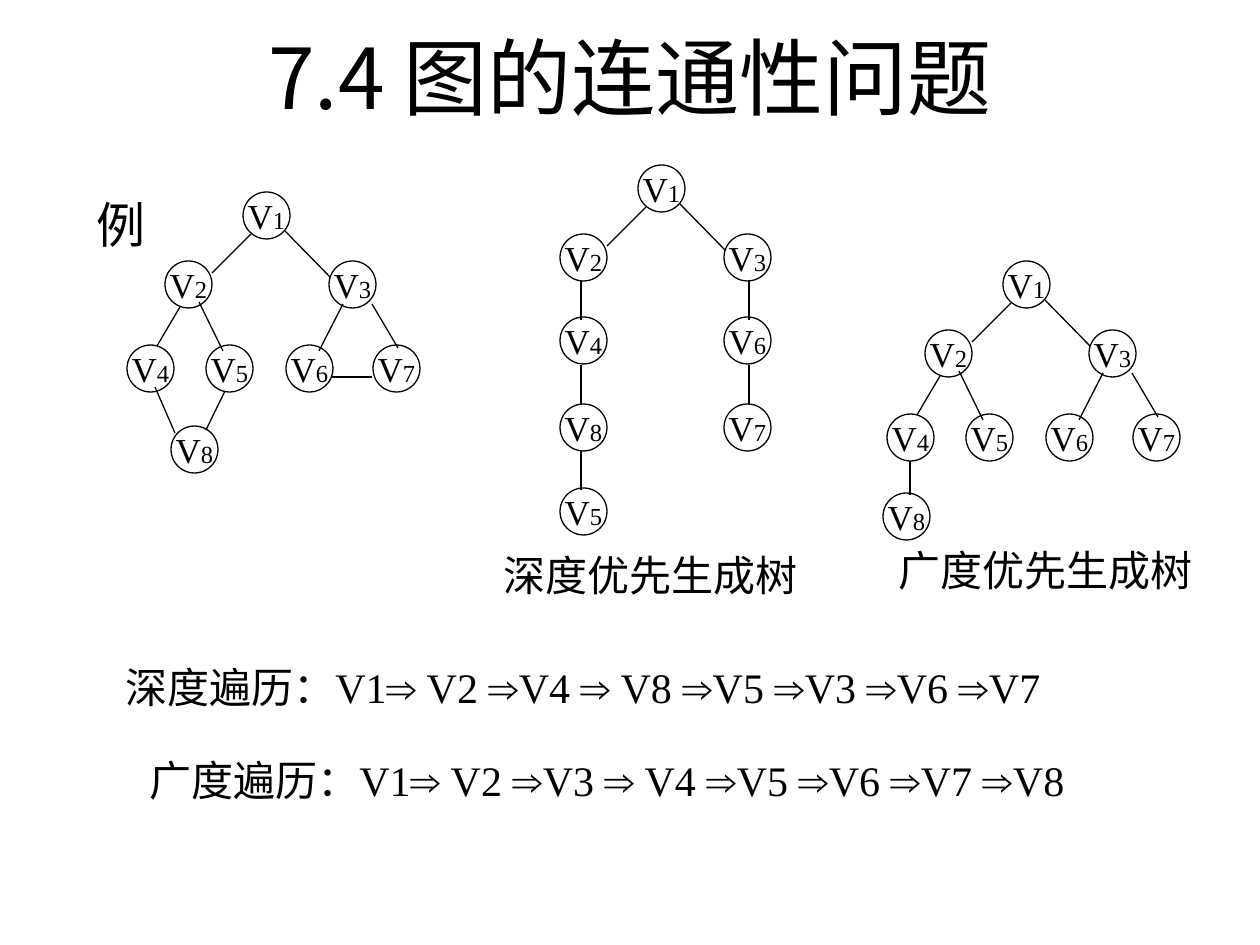
from dataclasses import dataclass

from lxml import etree
from pptx import Presentation
from pptx.dml.color import RGBColor
from pptx.enum.shapes import MSO_CONNECTOR, MSO_SHAPE
from pptx.enum.text import MSO_ANCHOR, MSO_AUTO_SIZE, PP_ALIGN
from pptx.oxml.ns import qn
from pptx.util import Emu, Pt

OVAL, LINE = MSO_SHAPE.OVAL, MSO_CONNECTOR.STRAIGHT
MID, TOP = MSO_ANCHOR.MIDDLE, MSO_ANCHOR.TOP
MIDDLE, LEFT = PP_ALIGN.CENTER, PP_ALIGN.LEFT
GROW, FIXED = MSO_AUTO_SIZE.SHAPE_TO_FIT_TEXT, MSO_AUTO_SIZE.NONE

BLACK = RGBColor(0, 0, 0)
SERIF, SANS, HAN = "Times New Roman", "Arial", "Noto Sans CJK SC"
ARROW = "⇒"
SCALE = 914400 / 126
NODE = 47  # circle width


@dataclass
class Label:
    text: str
    box: tuple[int, int, int, int]
    size: int = 24
    font: str = SERIF
    align: PP_ALIGN = MIDDLE
    anchor: MSO_ANCHOR = MID
    fit: MSO_AUTO_SIZE = GROW
    wrap: bool = False


@dataclass
class Graph:
    x: int  # left of V1
    y: int  # top of V1
    nodes: dict[int, tuple[int, int]]  # offsets from V1
    edges: list[tuple[int, int, int, int]]
    label: Label


def px(n: int) -> Emu:
    return Emu(round(n * SCALE))


def add_run(para, text: str, size: int, font: str) -> None:
    run = para.add_run()
    run.text = text
    run.font.size, run.font.name = Pt(size), font
    run.font.color.rgb = BLACK
    east = etree.SubElement(run.font._element, qn("a:ea"))
    east.set("typeface", HAN)


def add_label(shapes, label: Label) -> None:
    frame = shapes.add_textbox(*map(px, label.box)).text_frame
    frame.word_wrap, frame.auto_size = label.wrap, label.fit
    frame.vertical_anchor = label.anchor
    para = frame.paragraphs[0]
    para.alignment = label.align
    # Arrows stand in runs of their own
    for i, part in enumerate(label.text.split(ARROW)):
        if i:
            add_run(para, ARROW, label.size, SANS)
        add_run(para, part, label.size, label.font)


def add_node(shapes, num: int, x: int, y: int) -> None:
    node = shapes.add_shape(OVAL, px(x), px(y), px(NODE), px(NODE))
    node.shadow.inherit = False
    node.fill.background()
    node.line.color.rgb, node.line.width = BLACK, Pt(0.75)
    frame = node.text_frame
    frame.word_wrap, frame.vertical_anchor = False, MID
    para = frame.paragraphs[0]
    para.alignment = MIDDLE
    add_run(para, "V", 20, SERIF)
    add_run(para, str(num), 14, SERIF)


def add_edge(shapes, x1: int, y1: int, x2: int, y2: int) -> None:
    edge = shapes.add_connector(LINE, px(x1), px(y1), px(x2), px(y2))
    edge.line.color.rgb, edge.line.width = BLACK, Pt(0.75)
    etree.SubElement(edge._element.spPr, qn("a:effectLst"))


def add_graph(shapes, graph: Graph) -> None:
    parts = shapes.add_group_shape().shapes
    x, y = graph.x, graph.y
    for num, (dx, dy) in graph.nodes.items():
        add_node(parts, num, x + dx, y + dy)
    for x1, y1, x2, y2 in graph.edges:
        add_edge(parts, x + x1, y + y1, x + x2, y + y2)
    add_label(parts, graph.label)


# Parts that the graphs share, as offsets from V1
CROWN = {1: (0, 0), 2: (-78, 69), 3: (86, 69)}
WIDE = CROWN | {4: (-116, 153), 5: (-37, 153), 6: (43, 153), 7: (130, 153)}
ROOF = [(8, 42, -31, 81), (42, 39, 87, 85)]
FORKS = ROOF + [(-63, 115, -86, 154), (-44, 110, -20, 159),
                (100, 112, 76, 159), (129, 112, 155, 156)]
LOOPS = [(-88, 195, -68, 241), (-18, 199, -37, 238), (89, 185, 129, 185)]
DROPS = [(x, y, x, y + 40)
         for x, count in ((-57, 3), (111, 2))
         for y in range(115, 115 + 85 * count, 85)]
DEEP = CROWN | {4: (-78, 152), 8: (-78, 239), 5: (-78, 323),
                6: (86, 152), 7: (86, 239)}

GRAPHS = [
    Graph(638, 165, DEEP, ROOF + DROPS,
          Label("深度优先生成树", (491, 543, 319, 63))),
    Graph(243, 192, WIDE | {8: (-72, 234)}, FORKS + LOOPS,
          Label("例", (84, 188, 74, 72), 28)),
    Graph(1003, 261, WIDE | {8: (-120, 232)}, FORKS + [(-93, 200, -93, 234)],
          Label("广度优先生成树", (886, 538, 319, 63))),
]

LABELS = [
    Label("7.4 图的连通性问题", (63, 16, 1134, 120), 48, HAN, fit=FIXED, wrap=True),
    Label("深度遍历：V1⇒ V2 ⇒V4 ⇒ V8 ⇒V5 ⇒V3 ⇒V6 ⇒V7",
          (113, 655, 1042, 63), align=LEFT, wrap=True),
    Label("广度遍历：V1⇒ V2 ⇒V3 ⇒ V4 ⇒V5 ⇒V6 ⇒V7 ⇒V8",
          (137, 748, 974, 63), align=LEFT, anchor=TOP, wrap=True),
]


def main() -> None:
    deck = Presentation()
    deck.slide_width, deck.slide_height = px(1260), px(945)
    shapes = deck.slides.add_slide(deck.slide_layouts[6]).shapes

    # Title, graphs, then the two visiting orders
    title, *orders = LABELS
    add_label(shapes, title)
    for graph in GRAPHS:
        add_graph(shapes, graph)
    for order in orders:
        add_label(shapes, order)
    deck.save("out.pptx")


if __name__ == "__main__":
    main()
